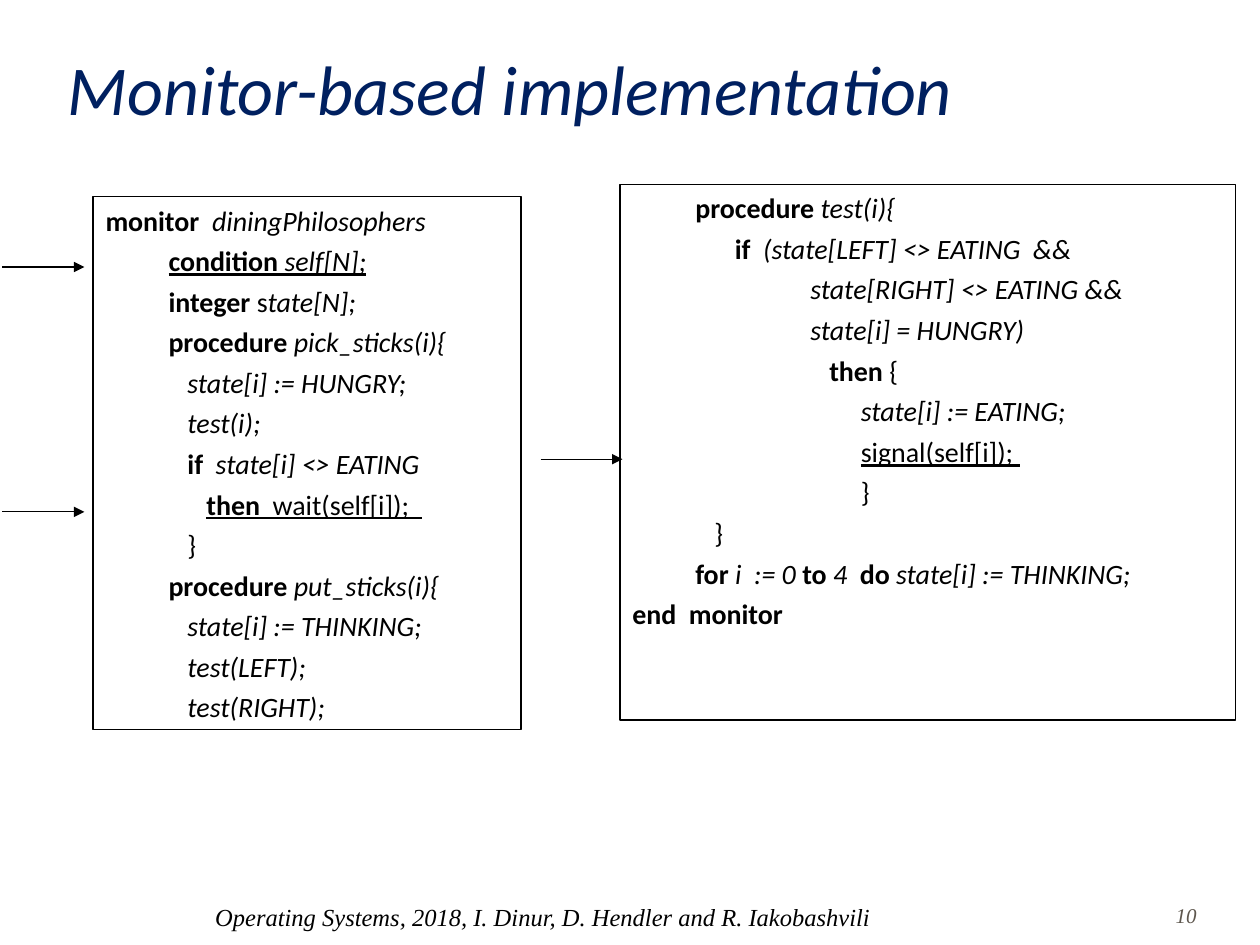
"""Build the slide on a monitor-based dining philosophers solution."""
from typing import NamedTuple

from lxml import etree
from pptx import Presentation
from pptx.dml.color import RGBColor
from pptx.enum.shapes import MSO_CONNECTOR, MSO_SHAPE
from pptx.enum.text import MSO_ANCHOR, PP_ALIGN
from pptx.oxml.ns import qn
from pptx.util import Pt

RECTANGLE = MSO_SHAPE.RECTANGLE
STRAIGHT = MSO_CONNECTOR.STRAIGHT
TOP, BOTTOM = MSO_ANCHOR.TOP, MSO_ANCHOR.BOTTOM
LEFT, CENTER = PP_ALIGN.LEFT, PP_ALIGN.CENTER
BLACK, NAVY, BROWN = "000000", "002060", "5E574E"
SANS, SERIF = "Calibri", "Times New Roman"
INDENTS = ((27, -27), (58.5, -22.5))
TAB_STEP, TAB_COUNT = 72, 8
ARROW_LENGTH = 46.8


class Span(NamedTuple):
    text: str
    style: str = ""


class Line(NamedTuple):
    level: int
    spans: tuple[Span, ...]


class Frame(NamedTuple):
    left: float
    top: float
    width: float
    height: float


class Listing(NamedTuple):
    frame: Frame
    lines: tuple[Line, ...]


class Label(NamedTuple):
    frame: Frame
    text: str
    font: str
    size: float
    color: str
    anchor: MSO_ANCHOR = TOP
    align: PP_ALIGN = LEFT


def code(level: int, *spans: tuple[str, str]) -> Line:
    return Line(level, tuple(Span(*span) for span in spans))


LABELS = (
    Label(Frame(31.7, 18, 612, 59.8), "Monitor-based implementation", SANS, 40, NAVY, BOTTOM),
    Label(
        Frame(115.9, 511.9, 470.2, 28),
        "Operating Systems, 2018, I. Dinur, D. Hendler and R. Iakobashvili",
        SERIF, 14, BLACK,
    ),
    Label(Frame(660.2, 511.9, 35.3, 23), "10", SERIF, 12, BROWN, TOP, CENTER),
)

LISTINGS = (
    Listing(Frame(53.2, 112.5, 244.6, 304.5), (
        code(0, ("monitor  ", "b"), ("diningPhilosophers", "i")),
        code(1, ("condition ", "bu"), ("self[N];", "iu")),
        code(1, ("integer ", "b"), ("s", ""), ("tate[N];", "i")),
        code(1, ("procedure ", "b"), ("pick_sticks(i){", "i")),
        code(1, ("   ", "b"), ("state[i] := HUNGRY;", "i")),
        code(1, ("   ", ""), ("test(i);", "i")),
        code(1, ("   ", "i"), ("if", "b"), ("  state[i] <> EATING", "i")),
        code(1, ("      ", "i"), ("then  ", "bu"), ("wait(self[i]);  ", "u")),
        code(1, ("   }", "")),
        code(1, ("procedure ", "b"), ("put_sticks(i){", "i")),
        code(1, ("   state[i] := THINKING;", "i")),
        code(1, ("   test(LEFT);", "i")),
        code(1, ("   test(RIGHT);", "i")),
    )),
    Listing(Frame(354.3, 105.5, 351.6, 306), (
        code(1, ("procedure ", "b"), ("test(i){", "i")),
        code(1, ("\tif", "b"), ("  (state[LEFT] <> EATING  &&", "i")),
        code(1, ("\t\t  state[RIGHT] <> EATING &&", "i")),
        code(1, ("\t\t  state[i] = HUNGRY)", "i")),
        code(1, ("\t\t     ", ""), ("then", "b"), (" {", "")),
        code(1, ("\t\t   \t", ""), ("state[i] := EATING;", "i")),
        code(1, ("\t\t\t", ""), ("signal(self[i]); ", "u")),
        code(1, ("\t\t\t}", "")),
        code(1, ("   }", "")),
        code(1, ("for ", "b"), ("i  := 0 ", "i"), ("to ", "b"), ("4  ", "i"),
             ("do ", "b"), ("state[i] := THINKING;", "i")),
        code(0, ("end  monitor", "b")),
    )),
)

ARROW_STARTS = ((1.4, 152.6), (1.4, 292.5), (308.9, 262.4))


def rgb(color: str) -> RGBColor:
    return RGBColor.from_string(color)


def add_span(para, span: Span, font: str, size: float, color: str) -> None:
    run = para.add_run()
    run.text = span.text
    run.font.name = font
    run.font.size = Pt(size)
    run.font.color.rgb = rgb(color)
    run.font.bold = "b" in span.style
    run.font.italic = "i" in span.style
    run.font.underline = "u" in span.style


def set_indent(para, level: int) -> None:
    margin, hanging = INDENTS[level]
    para.level = level
    properties = para._p.get_or_add_pPr()
    properties.set("marL", str(int(Pt(margin))))
    properties.set("indent", str(int(Pt(hanging))))
    tabs = etree.SubElement(properties, qn("a:tabLst"))
    for index in range(TAB_COUNT):
        etree.SubElement(tabs, qn("a:tab"), pos=str(int(Pt(index * TAB_STEP))), algn="l")


def draw_label(page, label: Label) -> None:
    box = page.shapes.add_textbox(*map(Pt, label.frame))
    box.text_frame.word_wrap = True
    box.text_frame.vertical_anchor = label.anchor
    para = box.text_frame.paragraphs[0]
    para.alignment = label.align
    add_span(para, Span(label.text, "i"), label.font, label.size, label.color)


def draw_listing(page, listing: Listing) -> None:
    box = page.shapes.add_shape(RECTANGLE, *map(Pt, listing.frame))
    box.shadow.inherit = False
    box.fill.background()
    box.line.color.rgb = rgb(BLACK)
    box.line.width = Pt(0.75)
    frame = box.text_frame
    frame.word_wrap = True
    frame.vertical_anchor = TOP
    for index, line in enumerate(listing.lines):
        para = frame.add_paragraph() if index else frame.paragraphs[0]
        set_indent(para, line.level)
        para.alignment = LEFT
        para.space_before = Pt(4 if index else 0)
        for span in line.spans:
            add_span(para, span, SANS, 16, BLACK)


def draw_arrow(page, left: float, top: float) -> None:
    arrow = page.shapes.add_connector(
        STRAIGHT, Pt(left), Pt(top), Pt(left + ARROW_LENGTH), Pt(top)
    )
    arrow.line.color.rgb = rgb(BLACK)
    arrow.line.width = Pt(0.75)
    etree.SubElement(arrow.line._get_or_add_ln(), qn("a:tailEnd"), type="triangle")
    etree.SubElement(arrow._element.spPr, qn("a:effectLst"))


def main() -> None:
    deck = Presentation()
    deck.slide_width, deck.slide_height = Pt(720), Pt(540)
    page = deck.slides.add_slide(deck.slide_layouts[6])
    for listing in LISTINGS:
        draw_listing(page, listing)
    for start in ARROW_STARTS:
        draw_arrow(page, *start)
    for label in LABELS:
        draw_label(page, label)
    deck.save("out.pptx")


if __name__ == "__main__":
    main()
